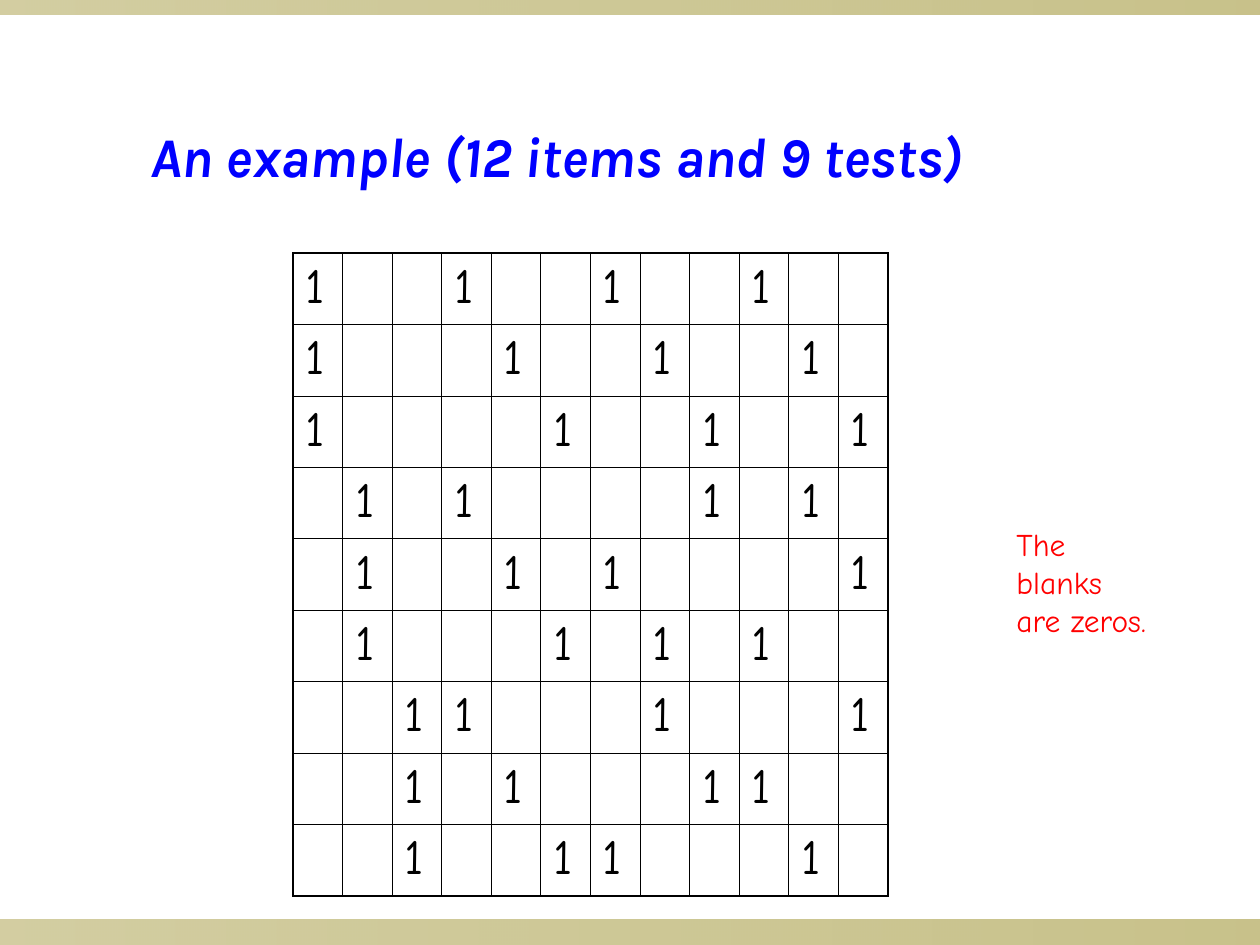
from dataclasses import dataclass

from lxml.etree import SubElement
from pptx import Presentation
from pptx.dml.color import RGBColor as RGB
from pptx.enum.shapes import MSO_SHAPE as SHAPE
from pptx.enum.text import MSO_ANCHOR as ANCHOR, PP_ALIGN as ALIGN
from pptx.oxml.ns import qn
from pptx.util import Emu, Pt

TITLE = "An example (12 items and 9 tests)"
NOTE = ["The blanks", "are zeros."]
ITEMS = 12
# Items pooled in each test, counted from 0
TESTS = [
    (0, 3, 6, 9), (0, 4, 7, 10), (0, 5, 8, 11),
    (1, 3, 8, 10), (1, 4, 6, 11), (1, 5, 7, 9),
    (2, 3, 7, 11), (2, 4, 8, 9), (2, 5, 6, 10),
]

# left, top, width, height in px
SLIDE_W, SLIDE_H = 1260, 945
TITLE_BOX = (84, 45, 946, 220)
GRID_BOX = (293, 253, 595, 643)
NOTE_BOX = (1004, 519, 170, 88)
BARS = [(0, 920, SLIDE_W, 25), (0, 0, SLIDE_W, 15)]


@dataclass(frozen=True)
class Theme:
    title_font: str = "Karla"
    body_font: str = "Comic Neue"
    title: str = "0000FF"
    note: str = "FF0000"
    ink: str = "000000"
    bar: str = "918415"
    bar_alphas: tuple = (40, 50)
    title_pt: int = 32
    cell_pt: int = 28
    note_pt: int = 18
    inner_line: float = 0.45
    outer_line: float = 1.08


THEME = Theme()


def px(n):
    return Emu(round(n * 914400 / 126))


def box(dims):
    return [px(n) for n in dims]


def add_run(p, text, font, size, color):
    r = p.add_run()
    r.text = text
    r.font.name, r.font.size = font, Pt(size)
    r.font.color.rgb = RGB.from_string(color)
    return r


def add_bar(slide, dims):
    sp = slide.shapes.add_shape(SHAPE.RECTANGLE, *box(dims))
    sp.shadow.inherit = False
    sp.line.fill.background()
    sp.fill.gradient()
    sp.fill.gradient_angle = 0
    for stop in sp.fill.gradient_stops:
        stop.color.rgb = RGB.from_string(THEME.bar)
    for clr, alpha in zip(sp.fill._xPr.iter(qn("a:srgbClr")), THEME.bar_alphas):
        SubElement(clr, qn("a:alpha"), val=str(alpha * 1000))


def set_borders(cell, outer):
    """Draw all four edges; outer maps L, R, T, B to whether the edge is on the rim."""
    tc_pr = cell._tc.get_or_add_tcPr()
    for side, on_rim in outer.items():
        width = Pt(THEME.outer_line if on_rim else THEME.inner_line)
        ln = SubElement(tc_pr, qn(f"a:ln{side}"), w=str(width))
        fill = SubElement(ln, qn("a:solidFill"))
        SubElement(fill, qn("a:srgbClr"), val=THEME.ink)


def add_grid(slide):
    rows = len(TESTS)
    left, top, width, height = box(GRID_BOX)
    table = slide.shapes.add_table(rows, ITEMS, left, top, width, height).table
    table.first_row = table.horz_banding = False
    for col in table.columns:
        col.width = Emu(width // ITEMS)
    for row in table.rows:
        row.height = Emu(height // rows)
    for i, pooled in enumerate(TESTS):
        for j in range(ITEMS):
            cell = table.cell(i, j)
            set_borders(cell, {"L": j == 0, "R": j == ITEMS - 1,
                               "T": i == 0, "B": i == rows - 1})
            cell.fill.background()
            if j in pooled:
                add_run(cell.text_frame.paragraphs[0], "1",
                        THEME.body_font, THEME.cell_pt, THEME.ink)


def add_title(slide):
    sp = slide.shapes.title
    sp.left, sp.top, sp.width, sp.height = box(TITLE_BOX)
    tf = sp.text_frame
    tf.vertical_anchor = ANCHOR.MIDDLE
    p = tf.paragraphs[0]
    p.alignment = ALIGN.CENTER
    r = add_run(p, TITLE, THEME.title_font, THEME.title_pt, THEME.title)
    r.font.bold = r.font.italic = True


def add_note(slide):
    tf = slide.shapes.add_textbox(*box(NOTE_BOX)).text_frame
    tf.word_wrap = False
    for i, line in enumerate(NOTE):
        p = tf.add_paragraph() if i else tf.paragraphs[0]
        add_run(p, line, THEME.body_font, THEME.note_pt, THEME.note)


def main():
    prs = Presentation()
    prs.slide_width, prs.slide_height = px(SLIDE_W), px(SLIDE_H)
    slide = prs.slides.add_slide(prs.slide_layouts[5])
    for dims in BARS:
        add_bar(slide, dims)
    add_title(slide)
    add_grid(slide)
    add_note(slide)
    prs.save("out.pptx")


if __name__ == "__main__":
    main()
